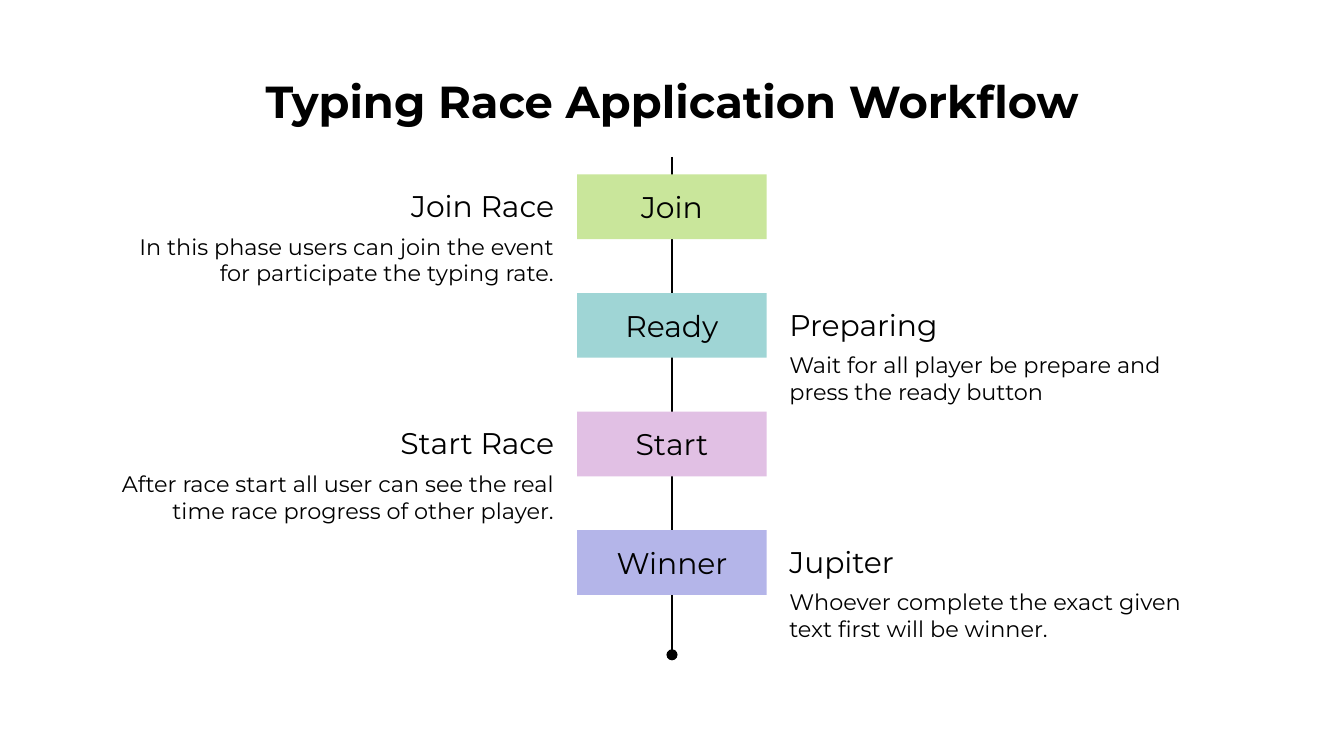
from dataclasses import dataclass

from pptx import Presentation
from pptx.dml.color import RGBColor
from pptx.enum.shapes import MSO_CONNECTOR, MSO_SHAPE
from pptx.enum.text import MSO_ANCHOR, MSO_AUTO_SIZE, PP_ALIGN
from pptx.oxml.ns import qn
from pptx.util import Pt
from lxml import etree


@dataclass(frozen=True)
class Theme:
    font: str = "Montserrat"
    ink: RGBColor = RGBColor(0, 0, 0)
    green: RGBColor = RGBColor(0xC9, 0xE6, 0x9B)
    teal: RGBColor = RGBColor(0x9F, 0xD5, 0xD5)
    pink: RGBColor = RGBColor(0xE1, 0xC0, 0xE4)
    violet: RGBColor = RGBColor(0xB4, 0xB5, 0xE9)
    title: int = 24
    label: int = 16
    body: int = 12


theme = Theme()


def write(shape, text, size, align, anchor=MSO_ANCHOR.TOP, bold=False):
    tf = shape.text_frame
    tf.word_wrap = True
    tf.auto_size = MSO_AUTO_SIZE.NONE
    tf.vertical_anchor = anchor
    tf.margin_left = tf.margin_right = tf.margin_top = tf.margin_bottom = Pt(7.2)
    tf.text = text
    p = tf.paragraphs[0]
    p.alignment = align
    font = p.runs[0].font
    font.name, font.size, font.bold = theme.font, Pt(size), bold
    font.color.rgb = theme.ink


prs = Presentation()
prs.slide_width, prs.slide_height = Pt(720), Pt(405)
s = prs.slides.add_slide(prs.slide_layouts[5])

# Title
title = s.shapes.title
title.left, title.top, title.width, title.height = Pt(35.6), Pt(32.4), Pt(648.8), Pt(44)
write(title, "Typing Race Application Workflow", theme.title, PP_ALIGN.CENTER, bold=True)

# Timeline, behind the steps, ending in a dot
timeline = s.shapes.add_connector(MSO_CONNECTOR.STRAIGHT, Pt(360), Pt(84), Pt(360), Pt(350.8))
timeline.line.color.rgb = theme.ink
timeline.line.width = Pt(0.75)
etree.SubElement(timeline.line._get_or_add_ln(), qn("a:tailEnd"), type="oval")
etree.SubElement(timeline._element.spPr, qn("a:effectLst"))

# Steps: box label, colour, heading, description, description width
steps = [
    ("Join", theme.green, "Join Race",
     "In this phase users can join the event for participate the typing rate.", 242.6),
    ("Ready", theme.teal, "Preparing",
     "Wait for all player be prepare and press the ready button", 242.6),
    ("Start", theme.pink, "Start Race",
     "After race start all user can see the real time race progress of other player.", 256.3),
    ("Winner", theme.violet, "Jupiter",
     "Whoever complete the exact given text first will be winner.", 242.6),
]
first_top, pitch = 93.5, 63.5
box_width, box_height = 101.6, 34.7
left_edge, right_edge = 304, 415.8

for i, (label, colour, heading, description, width) in enumerate(steps):
    top = first_top + i * pitch

    box = s.shapes.add_shape(MSO_SHAPE.RECTANGLE, Pt(360 - box_width / 2), Pt(top),
                             Pt(box_width), Pt(box_height))
    box.shadow.inherit = False
    box.fill.solid()
    box.fill.fore_color.rgb = colour
    box.line.fill.background()
    write(box, label, theme.label, PP_ALIGN.CENTER, MSO_ANCHOR.MIDDLE)

    # Captions alternate: left of the boxes, then right
    on_left = i % 2 == 0
    align = PP_ALIGN.RIGHT if on_left else PP_ALIGN.LEFT
    for text, size, offset, w, h in [(heading, theme.label, 0, 156.2, 28.8),
                                     (description, theme.body, 24, width, 44)]:
        x = left_edge - w if on_left else right_edge
        caption = s.shapes.add_textbox(Pt(x), Pt(top + offset), Pt(w), Pt(h))
        write(caption, text, size, align)

prs.save("out.pptx")
